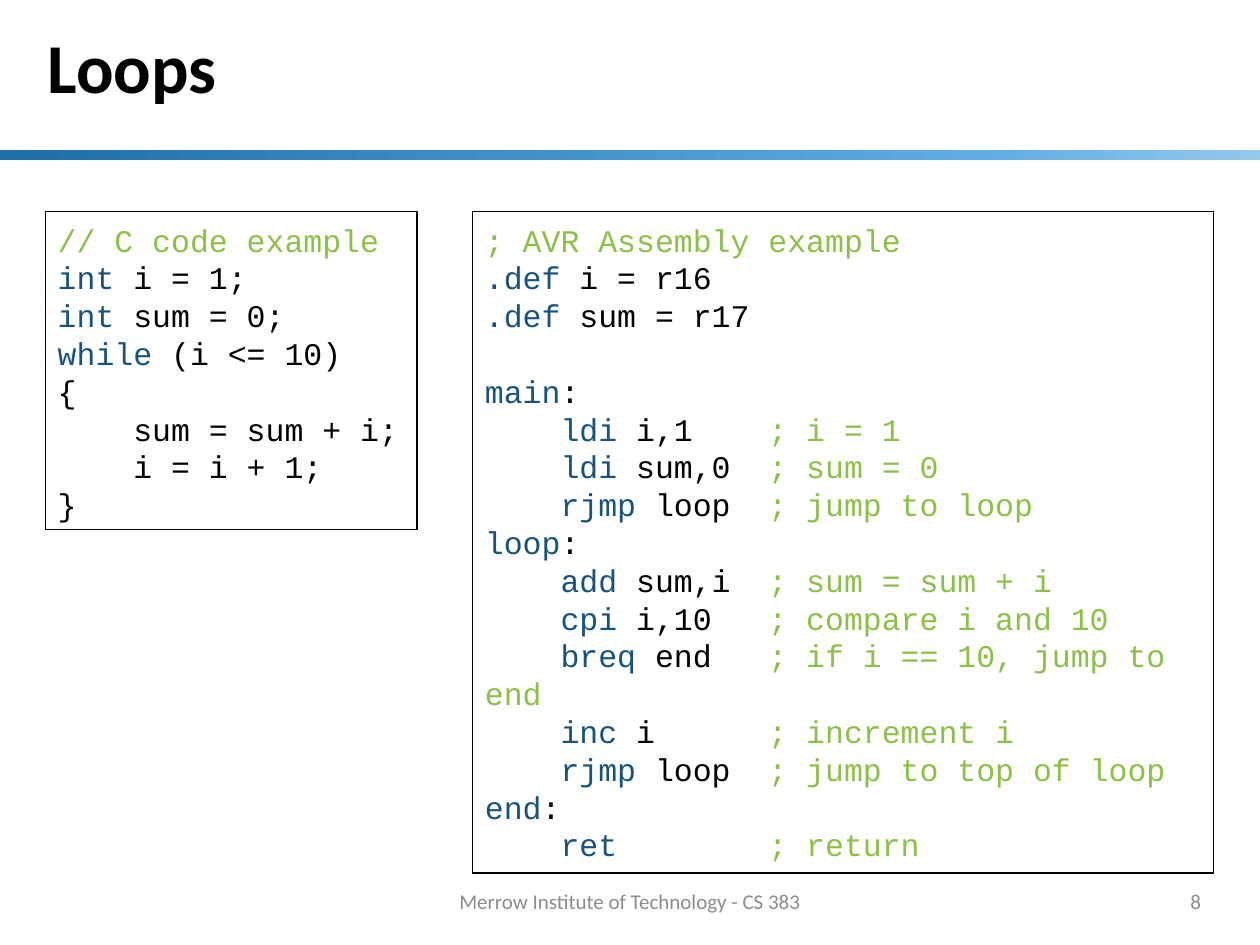
import copy

from pptx import Presentation, util as u
from pptx.dml.color import RGBColor
from pptx.enum import shapes, text
from pptx.oxml import ns
from lxml import etree

BLACK = RGBColor(0x00, 0x00, 0x00)
GREY = RGBColor(0x8C, 0x8C, 0x8C)
KEYWORD = RGBColor(0x16, 0x53, 0x7F)
COMMENT = RGBColor(0x8B, 0xC1, 0x45)
BAND_STOPS = [
    (0, RGBColor(0x1D, 0x6F, 0xA9)),
    (0.78, RGBColor(0x5F, 0xAD, 0xE4)),
    (1, RGBColor(0x94, 0xC8, 0xED)),
]

WIDTH, HEIGHT = 10, 7.5
RIGHT = 9.63
CODE_TOP = 1.68
CODE_PITCH = u.Pt(21.6)
CODE_TABS = (0.6, 2.25)  # columns 4 and 15 of the code

# Each line of code: keyword, plain part, comment
C_CODE = [
    ("", "", "// C code example"),
    ("int", " i = 1;", ""),
    ("int", " sum = 0;", ""),
    ("while", " (i <= 10)", ""),
    ("", "{", ""),
    ("", "\tsum = sum + i;", ""),
    ("", "\ti = i + 1;", ""),
    ("", "}", ""),
]
AVR_CODE = [
    ("", "", "; AVR Assembly example"),
    (".def", " i = r16", ""),
    (".def", " sum = r17", ""),
    ("main", ":", ""),
    ("\tldi", " i,1\t", "; i = 1"),
    ("\tldi", " sum,0\t", "; sum = 0"),
    ("\trjmp", " loop\t", "; jump to loop"),
    ("loop", ":", ""),
    ("\tadd", " sum,i\t", "; sum = sum + i"),
    ("\tcpi", " i,10\t", "; compare i and 10"),
    ("\tbreq", " end\t", "; if i == 10, jump to end"),
    ("\tinc", " i\t", "; increment i"),
    ("\trjmp", " loop\t", "; jump to top of loop"),
    ("end", ":", ""),
    ("\tret", "\t", "; return"),
]


def add_span(para, words, size=18, font="Courier New", color=BLACK, bold=False):
    span = para.add_run()
    span.text = words
    span.font.size = u.Pt(size)
    span.font.name = font
    span.font.bold = bold
    span.font.color.rgb = color


def add_label(page, place, words, align=text.PP_ALIGN.LEFT, **style):
    box = page.shapes.add_textbox(*map(u.Inches, place))
    frame = box.text_frame
    frame.word_wrap = True
    frame.vertical_anchor = text.MSO_ANCHOR.MIDDLE
    para = frame.paragraphs[0]
    para.alignment = align
    add_span(para, words, font="Calibri", **style)
    return para


def add_rectangle(page, place):
    box = page.shapes.add_shape(shapes.MSO_SHAPE.RECTANGLE, *map(u.Inches, place))
    box.shadow.inherit = False
    return box


def add_band(page, place):
    band = add_rectangle(page, place)
    band.line.fill.background()
    band.fill.gradient()
    band.fill.gradient_angle = 0
    # The default gradient has two stops; add the middle one
    first = band._element.spPr.find(".//" + ns.qn("a:gs"))
    first.addnext(copy.deepcopy(first))
    for stop, (position, color) in zip(band.fill.gradient_stops, BAND_STOPS):
        stop.position = position
        stop.color.rgb = color


def set_tabs(para):
    tabs = etree.SubElement(para._p.get_or_add_pPr(), ns.qn("a:tabLst"))
    for position in CODE_TABS:
        etree.SubElement(tabs, ns.qn("a:tab"), pos=str(u.Inches(position)), algn="l")


def add_code(page, place, lines, gap_before=None):
    box = add_rectangle(page, place)
    box.fill.background()
    box.line.color.rgb = BLACK
    box.line.width = u.Pt(0.75)
    frame = box.text_frame
    frame.word_wrap = True
    frame.vertical_anchor = text.MSO_ANCHOR.TOP
    frame.margin_top = u.Inches(0.07)
    for number, line in enumerate(lines):
        para = frame.add_paragraph() if number else frame.paragraphs[0]
        para.alignment = text.PP_ALIGN.LEFT
        para.line_spacing = CODE_PITCH
        if line[0] and line[0] == gap_before:
            para.space_before = CODE_PITCH
        set_tabs(para)
        for words, color in zip(line, (KEYWORD, BLACK, COMMENT)):
            if words:
                add_span(para, words, color=color)


def main():
    deck = Presentation()
    deck.slide_width, deck.slide_height = u.Inches(WIDTH), u.Inches(HEIGHT)
    page = deck.slides.add_slide(deck.slide_layouts[6])

    # Heading and band
    add_band(page, (0, 1.19, WIDTH, 0.08))
    title = add_label(page, (0.28, 0, RIGHT - 0.28, 1.13), "Loops", size=40, bold=True)
    title.line_spacing = 0.9

    # Footer
    add_label(page, (3.31, 6.95, 3.38, 0.4), "Merrow Institute of Technology - CS 383",
              align=text.PP_ALIGN.CENTER, size=12, color=GREY)
    add_label(page, (RIGHT - 2.25, 6.95, 2.25, 0.4), "8",
              align=text.PP_ALIGN.RIGHT, size=12, color=GREY)

    # Code panels
    add_code(page, (0.36, CODE_TOP, 2.95, 2.52), C_CODE)
    add_code(page, (3.75, CODE_TOP, RIGHT - 3.75, 5.25), AVR_CODE, gap_before="main")

    deck.save("out.pptx")


if __name__ == "__main__":
    main()
